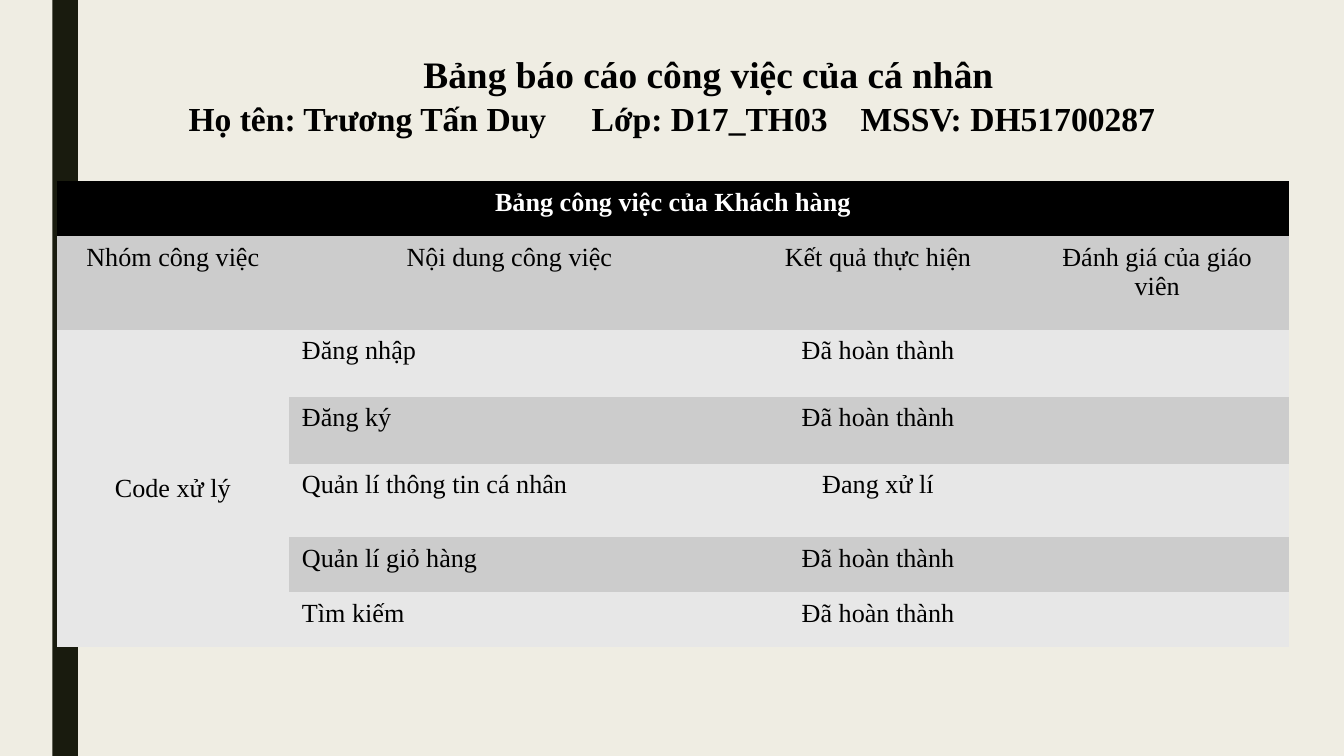
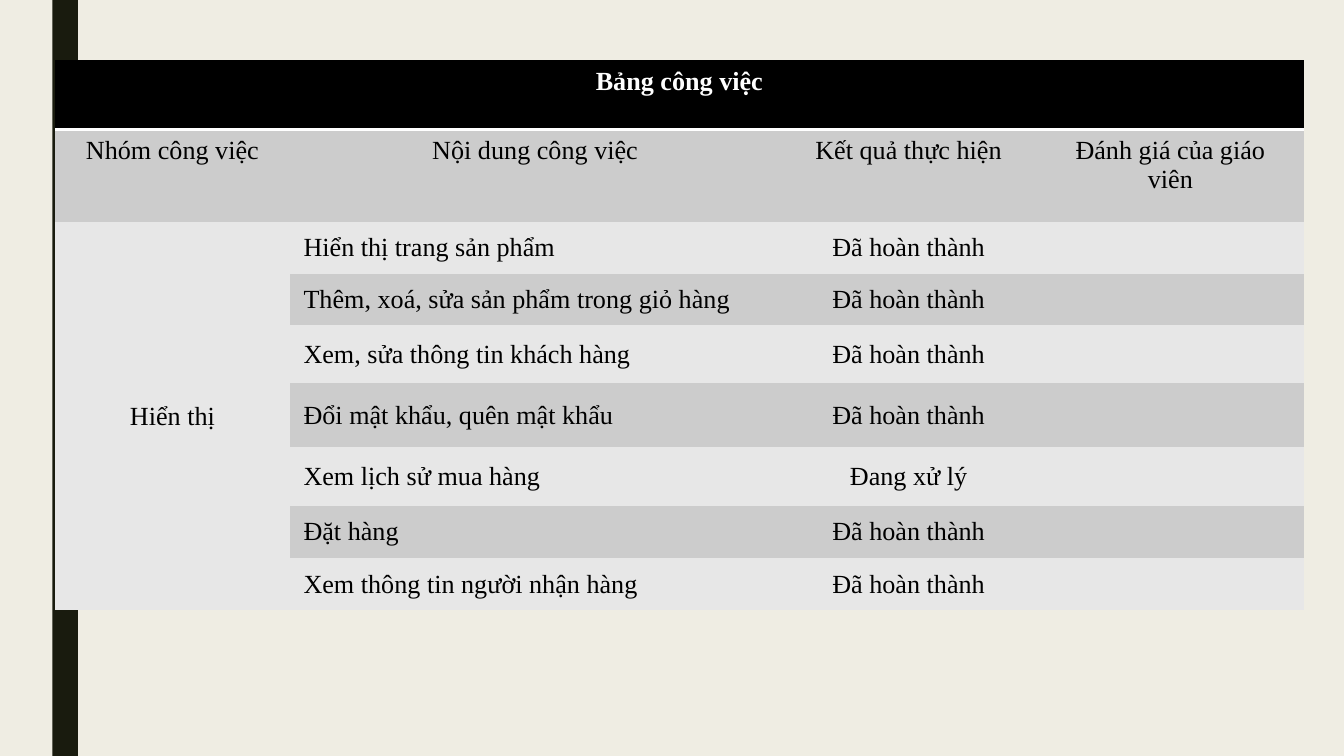
import dataclasses
from typing import Any, NamedTuple

import lxml.etree
import pptx
import pptx.dml.color
import pptx.enum.shapes
import pptx.enum.text
import pptx.oxml.ns
import pptx.util

Pt = pptx.util.Pt
ALIGN = pptx.enum.text.PP_ALIGN
ANCHOR = pptx.enum.text.MSO_ANCHOR
NO_TABLE_STYLE = "{2D5ABB26-0587-4C30-8999-92F81FD0307C}"


@dataclasses.dataclass(frozen=True)
class Theme:
    font: str = "Times New Roman"
    background: str = "EFEDE3"
    band: str = "191B0E"
    ink: str = "000000"
    header_ink: str = "FFFFFF"
    row_dark: str = "CCCCCC"
    row_light: str = "E7E7E7"
    title_size: float = 20
    student_size: float = 18
    table_size: float = 14


class Box(NamedTuple):
    left: float
    top: float
    width: float
    height: float


class Task(NamedTuple):
    content: str
    result: str = "Đã hoàn thành"


@dataclasses.dataclass(frozen=True)
class WorkTable:
    heading: str
    group: str
    tasks: list[Task]
    box: Box
    columns: list[float]
    rows: list[float]
    task_anchor: Any = ANCHOR.TOP
    heading_rule: float = 0


THEME = Theme()
SLIDE_SIZE = (720, 405)
BAND = Box(28.1, 0, 13.7, 405)
TITLE = Box(219.6, 23.8, 324.7, 31.7)
STUDENT = Box(30.2, 49, 659.5, 51.1)
COLUMN_HEADS = ["Nhóm công việc", "Nội dung công việc",
                "Kết quả thực hiện", "Đánh giá của giáo viên"]

CUSTOMER_WORK = WorkTable(
    heading="Bảng công việc của Khách hàng",
    group="Code xử lý",
    tasks=[
        Task("Đăng nhập"),
        Task("Đăng ký"),
        Task("Quản lí thông tin cá nhân", "Đang xử lí"),
        Task("Quản lí giỏ hàng"),
        Task("Tìm kiếm"),
    ],
    box=Box(30.7, 97.1, 659.8, 249.8),
    columns=[123.9, 236.8, 158.1, 141],
    rows=[29.5, 50, 35.9, 35.9, 39.5, 29.5, 29.5],
)
DISPLAY_WORK = WorkTable(
    heading="Bảng công việc",
    group="Hiển thị",
    tasks=[
        Task("Hiển thị trang sản phẩm"),
        Task("Thêm, xoá, sửa sản phẩm trong giỏ hàng"),
        Task("Xem, sửa thông tin khách hàng"),
        Task("Đổi mật khẩu, quên mật khẩu"),
        Task("Xem lịch sử mua hàng", "Đang xử lý"),
        Task("Đặt hàng"),
        Task("Xem thông tin người nhận hàng"),
    ],
    box=Box(29.4, 32.2, 669.2, 307.4),
    columns=[126, 262.7, 137.4, 143.1],
    rows=[37.2, 49.7, 27.6, 27.6, 31, 34.4, 31.6, 27.8, 28.1],
    task_anchor=ANCHOR.MIDDLE,
    heading_rule=2,
)


def apply(target: Any, values: dict[str, Any]) -> None:
    for name, value in values.items():
        setattr(target, name, value)


def rgb(color: str) -> pptx.dml.color.RGBColor:
    return pptx.dml.color.RGBColor.from_string(color)


def fill(target: Any, color: str) -> None:
    target.fill.solid()
    target.fill.fore_color.rgb = rgb(color)


def in_points(box: Box) -> list[pptx.util.Length]:
    return [Pt(value) for value in box]


def write(frame: Any, text: str, size: float, color: str, bold: bool, align: Any) -> None:
    paragraph = frame.paragraphs[0]
    paragraph.alignment = align
    run = paragraph.add_run()
    run.text = text
    apply(run.font, {"name": THEME.font, "size": Pt(size), "bold": bold})
    run.font.color.rgb = rgb(color)


def add_band(slide: Any) -> None:
    band = slide.shapes.add_shape(pptx.enum.shapes.MSO_SHAPE.RECTANGLE, *in_points(BAND))
    band.shadow.inherit = False
    fill(band, THEME.band)
    band.line.fill.background()


def add_heading(holder: Any, box: Box, text: str, size: float, wrap: bool, align: Any) -> None:
    apply(holder, dict(zip(Box._fields, in_points(box))))
    apply(holder.text_frame, {
        "word_wrap": wrap,
        "auto_size": pptx.enum.text.MSO_AUTO_SIZE.SHAPE_TO_FIT_TEXT,
        "vertical_anchor": ANCHOR.TOP,
    })
    write(holder.text_frame, text, size, THEME.ink, True, align)


def rule_below(cell: Any, width: float, color: str) -> None:
    qn = pptx.oxml.ns.qn
    line = lxml.etree.Element(qn("a:lnB"), w=str(Pt(width)))
    solid = lxml.etree.SubElement(line, qn("a:solidFill"))
    lxml.etree.SubElement(solid, qn("a:srgbClr"), val=color)
    cell._tc.get_or_add_tcPr().insert(0, line)


def fill_cell(cell: Any, text: str, color: str, ink: str = THEME.ink, bold: bool = False,
              align: Any = ALIGN.CENTER, anchor: Any = ANCHOR.TOP) -> None:
    fill(cell, color)
    cell.vertical_anchor = anchor
    if text:
        write(cell.text_frame, text, THEME.table_size, ink, bold, align)
    else:
        lxml.etree.SubElement(cell.text_frame.paragraphs[0]._p,
                              pptx.oxml.ns.qn("a:endParaRPr"),
                              sz=str(int(THEME.table_size * 100)))


def add_work_table(slide: Any, work: WorkTable) -> None:
    holder = slide.shapes.add_table(len(work.rows), len(work.columns), *in_points(work.box))
    table = holder.table
    apply(table, {"first_row": False, "horz_banding": False})
    table._tbl.tblPr.find(pptx.oxml.ns.qn("a:tableStyleId")).text = NO_TABLE_STYLE
    for column, width in zip(table.columns, work.columns):
        column.width = Pt(width)
    for row, height in zip(table.rows, work.rows):
        row.height = Pt(height)
    holder.height = Pt(work.box.height)

    last_row, last_column = len(work.rows) - 1, len(work.columns) - 1
    table.cell(0, 0).merge(table.cell(0, last_column))
    table.cell(2, 0).merge(table.cell(last_row, 0))

    for index in range(len(work.columns)):
        cell = table.cell(0, index)
        fill_cell(cell, "" if index else work.heading, THEME.ink, THEME.header_ink, True)
        if work.heading_rule:
            rule_below(cell, work.heading_rule, THEME.header_ink)
        fill_cell(table.cell(1, index), COLUMN_HEADS[index], THEME.row_dark)

    for index, task in enumerate(work.tasks):
        row = index + 2
        color = THEME.row_dark if index % 2 else THEME.row_light
        fill_cell(table.cell(row, 0), "" if index else work.group, THEME.row_light,
                  anchor=ANCHOR.MIDDLE)
        fill_cell(table.cell(row, 1), task.content, color, align=ALIGN.LEFT,
                  anchor=work.task_anchor)
        fill_cell(table.cell(row, 2), task.result, color, anchor=work.task_anchor)
        fill_cell(table.cell(row, 3), "", color)


def add_slide(deck: Any, layout_name: str) -> Any:
    slide = deck.slides.add_slide(deck.slide_layouts.get_by_name(layout_name))
    add_band(slide)
    return slide


def main() -> None:
    deck = pptx.Presentation()
    apply(deck, dict(zip(("slide_width", "slide_height"), map(Pt, SLIDE_SIZE))))
    fill(deck.slide_master.background, THEME.background)

    report = add_slide(deck, "Title Only")
    add_work_table(report, CUSTOMER_WORK)
    add_heading(report.shapes.title, TITLE, "Bảng báo cáo công việc của cá nhân",
                THEME.title_size, False, ALIGN.LEFT)
    add_heading(report.shapes.add_textbox(*in_points(STUDENT)), STUDENT,
                "Họ tên: Trương Tấn Duy\tLớp: D17_TH03 \tMSSV: DH51700287",
                THEME.student_size, True, ALIGN.CENTER)

    display = add_slide(deck, "Blank")
    add_work_table(display, DISPLAY_WORK)

    deck.save("out.pptx")


if __name__ == "__main__":
    main()
